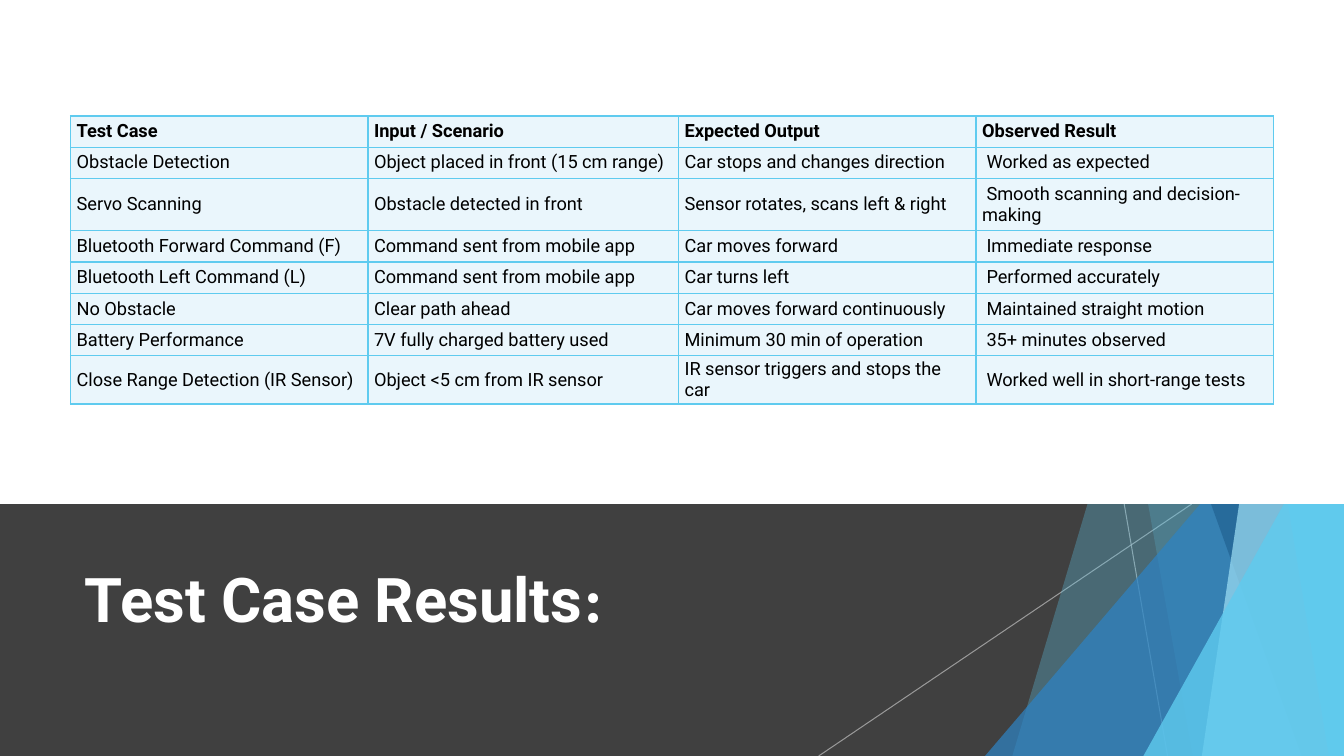
from dataclasses import dataclass

from lxml import etree
from pptx import Presentation
from pptx import util as u
from pptx.dml.color import RGBColor
from pptx.enum import shapes, text
from pptx.oxml import ns

HUES = {
    "white": "FFFFFF", "black": "000000", "band": "404040", "ray": "BFBFBF",
    "sky": "5FCBEF", "pale": "9FE0F5", "blue": "2E83C3", "navy": "226292",
    "cell": "EAF6FC",
}
WIDE, HIGH, SPLIT, TOP = 13.33, 7.5, 5, -0.01
COLS = (2.95, 3.08, 2.95, 2.95)
ROWS = (0.31, 0.31, 0.52, 0.31, 0.31, 0.31, 0.31, 0.31)
CASES = (
    ("Test Case", "Input / Scenario", "Expected Output", "Observed Result"),
    ("Obstacle Detection", "Object placed in front (15 cm range)",
     "Car stops and changes direction", " Worked as expected"),
    ("Servo Scanning", "Obstacle detected in front",
     "Sensor rotates, scans left & right", " Smooth scanning and decision-making"),
    ("Bluetooth Forward Command (F)", "Command sent from mobile app",
     "Car moves forward", " Immediate response"),
    ("Bluetooth Left Command (L)", "Command sent from mobile app",
     "Car turns left", " Performed accurately"),
    ("No Obstacle", "Clear path ahead",
     "Car moves forward continuously", " Maintained straight motion"),
    ("Battery Performance", "7V fully charged battery used",
     "Minimum 30 min of operation", " 35+ minutes observed"),
    ("Close Range Detection (IR Sensor)", "Object <5 cm from IR sensor",
     "IR sensor triggers and stops the car", " Worked well in short-range tests"),
)


@dataclass
class Ray:
    x: float
    end: float


@dataclass
class Shard:
    top: float
    foot: float
    hue: str
    alpha: int


@dataclass
class Wedge:
    left: float
    top: float
    hue: str
    alpha: int


RAYS = (Ray(11.15, 11.58), Ray(11.82, 8.12))
FACETS = (
    Shard(12.28, 10.04, "sky", 30),
    Shard(10.5, 11.83, "sky", 20),
    Wedge(9.77, 3.33, "blue", 72),
    Shard(10.21, 12.91, "navy", 70),
    Shard(13.03, 11.92, "pale", 70),
    Shard(11.96, 13.18, "sky", 65),
    Wedge(11.34, 3.93, "sky", 80),
)


def tint(name: str) -> RGBColor:
    return RGBColor.from_string(HUES[name])


def fade(node, alpha: int) -> None:
    for hue in node.iterfind(".//" + ns.qn("p:spPr") + "//" + ns.qn("a:srgbClr")):
        etree.SubElement(hue, ns.qn("a:alpha"), val=str(alpha * 1000))


def paint(shape, hue: str, alpha: int = 100) -> None:
    shape.shadow.inherit = False
    shape.line.fill.background()
    shape.fill.solid()
    shape.fill.fore_color.rgb = tint(hue)
    if alpha < 100:
        fade(shape.element, alpha)


def panel(slide, top: float, high: float, hue: str) -> None:
    box = slide.shapes.add_shape(
        shapes.MSO_SHAPE.RECTANGLE, 0, u.Inches(top), u.Inches(WIDE), u.Inches(high))
    paint(box, hue)


def draw_ray(group, ray: Ray) -> None:
    line = group.shapes.add_connector(
        shapes.MSO_CONNECTOR.STRAIGHT, u.Inches(ray.x), u.Inches(SPLIT),
        u.Inches(ray.end), u.Inches(HIGH))
    line.line.color.rgb = tint("ray")
    line.line.width = u.Pt(0.75)
    fade(line.element, 70)
    etree.SubElement(line.element.spPr, ns.qn("a:effectLst"))


def draw_shard(group, shard: Shard) -> None:
    pen = group.shapes.build_freeform(u.Inches(shard.top), u.Inches(TOP))
    edge = ((WIDE, TOP), (WIDE, HIGH), (shard.foot, HIGH))
    pen.add_line_segments([(u.Inches(x), u.Inches(y)) for x, y in edge], close=True)
    paint(pen.convert_to_shape(), shard.hue, shard.alpha)


def draw_wedge(group, wedge: Wedge) -> None:
    shape = group.shapes.add_shape(
        shapes.MSO_SHAPE.ISOSCELES_TRIANGLE, u.Inches(wedge.left), u.Inches(wedge.top),
        u.Inches(WIDE - wedge.left), u.Inches(HIGH - wedge.top))
    shape.adjustments[0] = 1
    paint(shape, wedge.hue, wedge.alpha)


def draw_art(slide) -> None:
    group = slide.shapes.add_group_shape()
    for ray in RAYS:
        draw_ray(group, ray)
    for facet in FACETS:
        if isinstance(facet, Shard):
            draw_shard(group, facet)
        else:
            draw_wedge(group, facet)


def write(para, words: str, size: float, face: str, hue: str, bold: bool) -> None:
    run = para.add_run()
    run.text = words
    run.font.size = u.Pt(size)
    run.font.name = face
    run.font.bold = bold
    run.font.color.rgb = tint(hue)


def set_title(slide) -> None:
    title = slide.shapes.title
    title.left, title.top = u.Inches(0.74), u.Inches(5.21)
    title.width, title.height = u.Inches(9.4), u.Inches(1.44)
    frame = title.text_frame
    frame.word_wrap = True
    frame.auto_size = text.MSO_AUTO_SIZE.NONE
    frame.vertical_anchor = text.MSO_ANCHOR.MIDDLE
    para = frame.paragraphs[0]
    para.alignment = text.PP_ALIGN.LEFT
    write(para, "Test Case Results", 44, "Roboto", "white", True)
    write(para, ":", 44, "Times New Roman", "white", True)
    title.element.getparent().append(title.element)


def border(cell) -> None:
    props = cell._tc.get_or_add_tcPr()
    for spot, side in enumerate(("lnL", "lnR", "lnT", "lnB")):
        line = etree.Element(ns.qn("a:" + side), w=str(u.Pt(1)))
        fill = etree.SubElement(line, ns.qn("a:solidFill"))
        etree.SubElement(fill, ns.qn("a:srgbClr"), val=HUES["sky"])
        props.insert(spot, line)


def fill_cell(cell, words: str, bold: bool) -> None:
    cell.margin_left = cell.margin_right = u.Inches(0.06)
    cell.margin_top = cell.margin_bottom = u.Inches(0.03)
    cell.vertical_anchor = text.MSO_ANCHOR.MIDDLE
    cell.fill.solid()
    cell.fill.fore_color.rgb = tint("cell")
    border(cell)
    write(cell.text_frame.paragraphs[0], words, 13, "Roboto", "black", bold)


def draw_table(slide) -> None:
    table = slide.shapes.add_table(
        len(ROWS), len(COLS), u.Inches(0.7), u.Inches(1.15),
        u.Inches(sum(COLS)), u.Inches(sum(ROWS))).table
    table.horz_banding = False
    for col, wide in zip(table.columns, COLS):
        col.width = u.Inches(wide)
    for i, (row, high, case) in enumerate(zip(table.rows, ROWS, CASES)):
        row.height = u.Inches(high)
        for cell, words in zip(row.cells, case):
            fill_cell(cell, words, i == 0)


def main() -> None:
    deck = Presentation()
    deck.slide_width, deck.slide_height = u.Inches(WIDE), u.Inches(HIGH)
    slide = deck.slides.add_slide(deck.slide_layouts[5])
    panel(slide, SPLIT, HIGH - SPLIT, "band")
    draw_art(slide)
    set_title(slide)
    panel(slide, 0, SPLIT, "white")
    draw_table(slide)
    deck.save("out.pptx")


if __name__ == "__main__":
    main()
